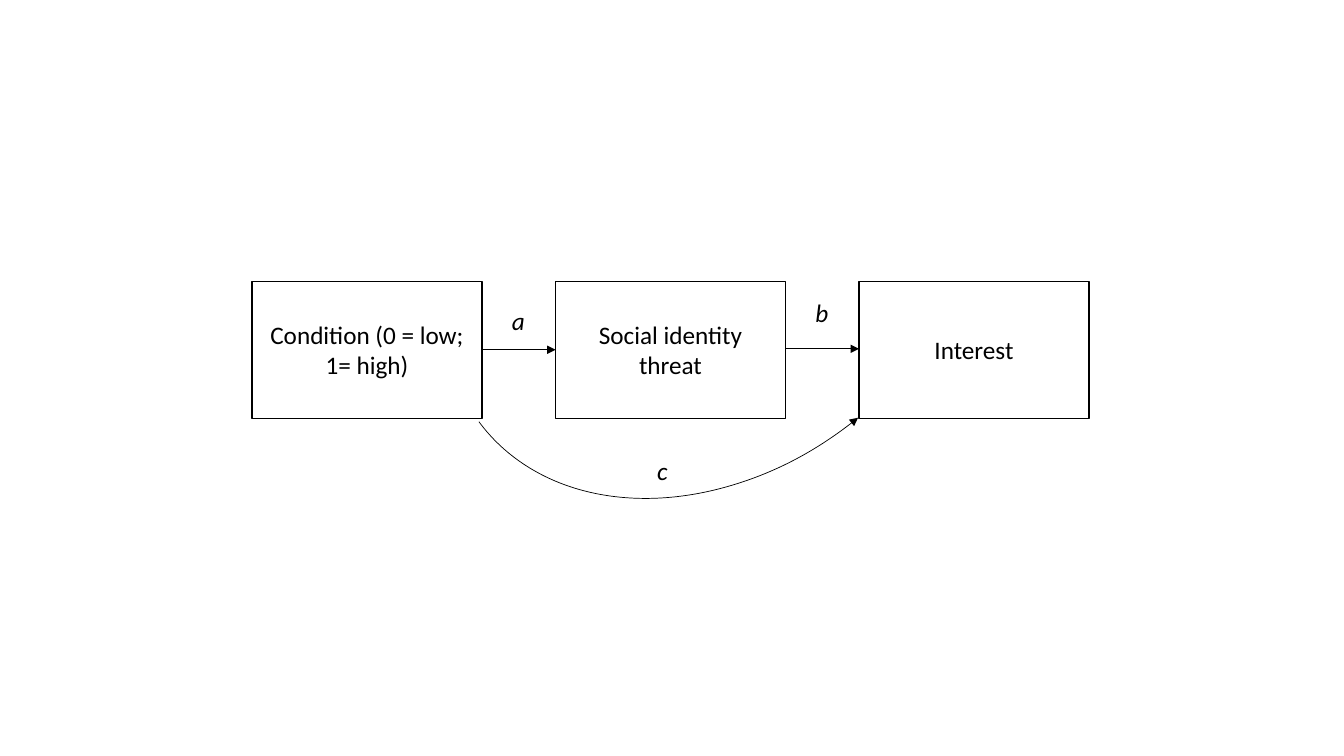
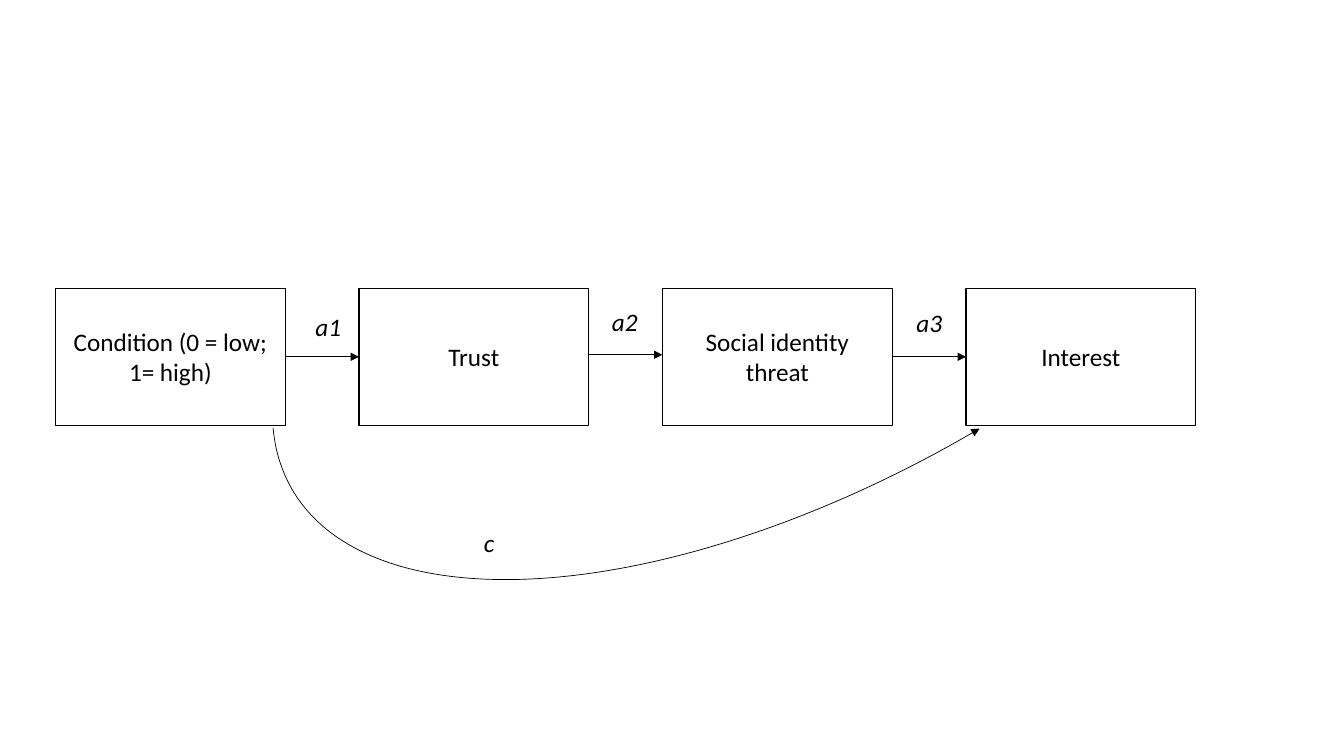
from dataclasses import dataclass

from pptx import Presentation
from pptx.dml.color import RGBColor
from pptx.enum.shapes import MSO_CONNECTOR, MSO_SHAPE
from pptx.enum.text import MSO_ANCHOR, MSO_AUTO_SIZE, PP_ALIGN
from pptx.oxml.ns import qn
from pptx.slide import Slide
from pptx.util import Inches, Pt
from lxml.etree import SubElement


@dataclass(frozen=True)
class Theme:
    """Colour, type and line widths shared by the slides."""
    ink: RGBColor = RGBColor(0, 0, 0)
    font: str = "Calibri"
    text_size: float = 18
    box_line: float = 1
    arrow_line: float = 0.5


@dataclass(frozen=True)
class Label:
    """An italic path name and its text box position."""
    text: str
    left: float
    top: float
    width: float


@dataclass(frozen=True)
class Step:
    """A straight arrow's height and its label."""
    arrow_y: float
    label: Label


@dataclass(frozen=True)
class DirectArc:
    """The curved direct effect, as a rotated ellipse arc."""
    left: float
    top: float
    width: float
    height: float
    rotation: float
    start: float
    end: float
    label: Label


@dataclass(frozen=True)
class Model:
    """A mediation model: a row of variables and their effects."""
    left: float
    top: float
    variables: tuple[str, ...]
    steps: tuple[Step, ...]
    direct: DirectArc


THEME = Theme()
BOX_WIDTH, BOX_HEIGHT, BOX_PITCH = 2.28, 1.36, 3.01
LABEL_HEIGHT = 0.4
CONDITION, THREAT, INTEREST = "Condition (0 = low; 1= high)", "Social identity threat", "Interest"

MODELS = (
    Model(
        2.5, 2.79, (CONDITION, THREAT, INTEREST),
        (Step(3.47, Label("a", 4.98, 2.98, 0.33)),
         Step(3.46, Label("b", 7.99, 2.9, 0.34))),
        DirectArc(4.14, 0.13, 5.89, 4.52, 140.9, 162, 0.95,
                  Label("c", 6.42, 4.47, 0.31)),
    ),
    Model(
        0.55, 2.86, (CONDITION, "Trust", THREAT, INTEREST),
        (Step(3.54, Label("a1", 3.03, 3.04, 0.46)),
         Step(3.52, Label("a2", 5.97, 2.99, 0.46)),
         Step(3.54, Label("a3", 8.99, 3, 0.46))),
        DirectArc(2.08, -1.08, 12.17, 5.78, 150, 160.55, 3.58,
                  Label("c", 4.7, 5.18, 0.31)),
    ),
)


def write_text(shape, text: str, italic: bool = False) -> None:
    """Set a shape's text in the theme's type."""
    shape.text_frame.text = text
    font = shape.text_frame.paragraphs[0].runs[0].font
    font.name, font.size, font.italic = THEME.font, Pt(THEME.text_size), italic
    font.color.rgb = THEME.ink


def draw_line(shape, width: float, arrow_end: str = "") -> None:
    """Style an outline, with a triangle at the named end if any."""
    shape.line.color.rgb = THEME.ink
    shape.line.width = Pt(width)
    if arrow_end:
        outline = shape.element.spPr.find(qn("a:ln"))
        SubElement(outline, qn(f"a:{arrow_end}"), type="triangle")


def add_variable(slide: Slide, text: str, left: float, top: float) -> None:
    """Draw one variable box."""
    box = slide.shapes.add_shape(MSO_SHAPE.RECTANGLE, Inches(left), Inches(top),
                                 Inches(BOX_WIDTH), Inches(BOX_HEIGHT))
    box.shadow.inherit = False
    box.fill.background()
    draw_line(box, THEME.box_line)
    write_text(box, text)
    box.text_frame.vertical_anchor = MSO_ANCHOR.MIDDLE
    box.text_frame.paragraphs[0].alignment = PP_ALIGN.CENTER


def add_label(slide: Slide, label: Label) -> None:
    """Write one path name."""
    box = slide.shapes.add_textbox(Inches(label.left), Inches(label.top),
                                   Inches(label.width), Inches(LABEL_HEIGHT))
    box.text_frame.word_wrap = False
    box.text_frame.auto_size = MSO_AUTO_SIZE.SHAPE_TO_FIT_TEXT
    write_text(box, label.text, italic=True)


def add_step(slide: Slide, step: Step, left: float, right: float) -> None:
    """Draw a straight arrow between two boxes, with its label."""
    arrow = slide.shapes.add_connector(MSO_CONNECTOR.STRAIGHT, Inches(left), Inches(step.arrow_y),
                                       Inches(right), Inches(step.arrow_y))
    draw_line(arrow, THEME.arrow_line, "tailEnd")
    SubElement(arrow.element.spPr, qn("a:effectLst"))
    add_label(slide, step.label)


def add_direct_arc(slide: Slide, direct: DirectArc) -> None:
    """Draw the curved arrow from first to last variable."""
    arc = slide.shapes.add_shape(MSO_SHAPE.ARC, Inches(direct.left), Inches(direct.top),
                                 Inches(direct.width), Inches(direct.height))
    arc.rotation = direct.rotation
    arc.adjustments[0], arc.adjustments[1] = direct.start, direct.end
    arc.shadow.inherit = False
    arc.fill.background()
    draw_line(arc, THEME.arrow_line, "headEnd")
    add_label(slide, direct.label)


def add_model(slide: Slide, model: Model) -> None:
    """Draw a whole mediation model."""
    lefts = [model.left + index * BOX_PITCH for index in range(len(model.variables))]
    for text, left in zip(model.variables, lefts):
        add_variable(slide, text, left, model.top)
    for step, left, next_left in zip(model.steps, lefts, lefts[1:]):
        add_step(slide, step, left + BOX_WIDTH, next_left)
    add_direct_arc(slide, model.direct)


def main() -> None:
    """Build and save the deck."""
    deck = Presentation()
    deck.slide_width, deck.slide_height = Inches(13.33), Inches(7.5)
    blank_layout = deck.slide_layouts.get_by_name("Blank")
    for model in MODELS:
        add_model(deck.slides.add_slide(blank_layout), model)
    deck.save("out.pptx")


main()
